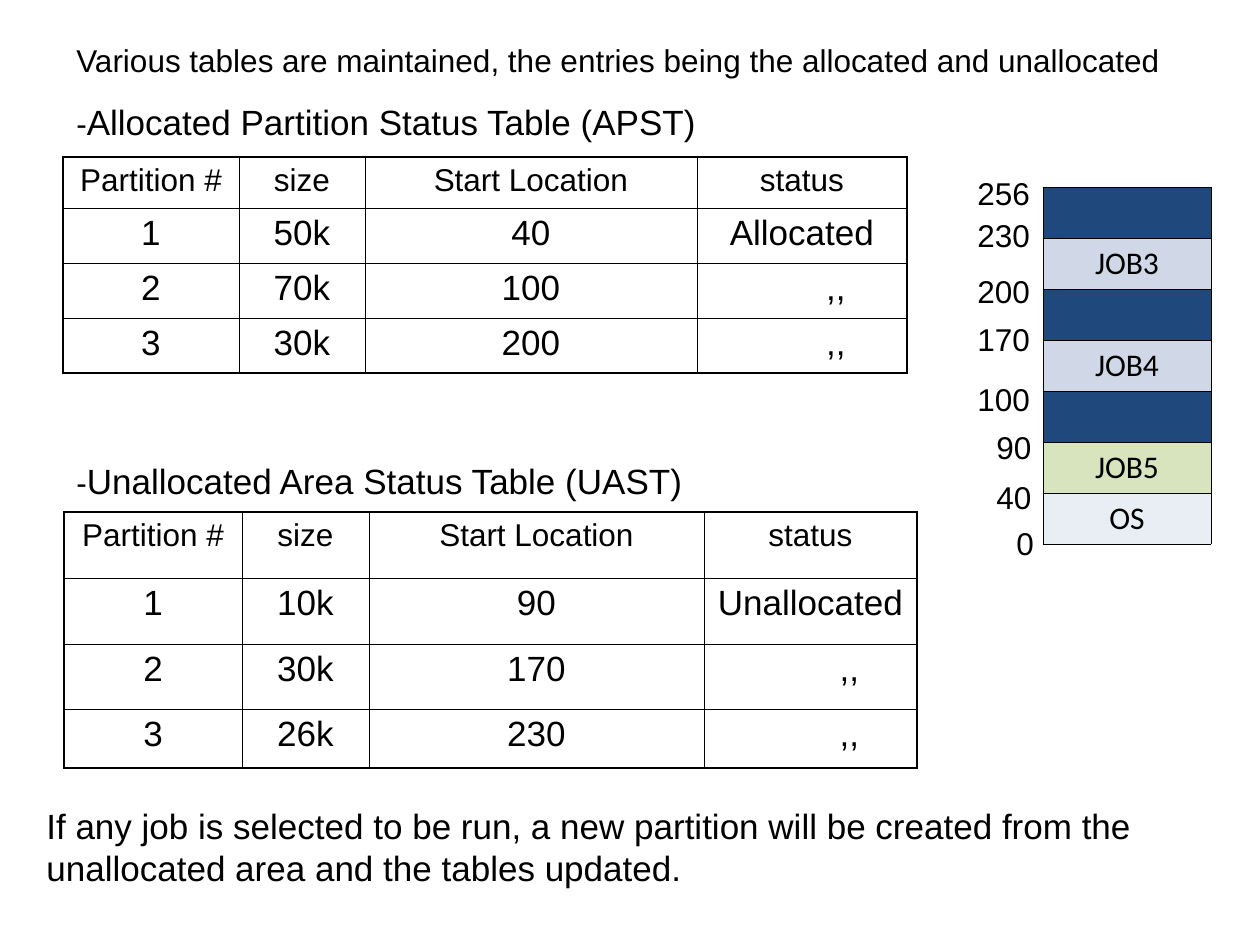
from lxml.etree import SubElement
from pptx import Presentation
from pptx.dml.color import RGBColor
from pptx.enum.text import PP_ALIGN
from pptx.oxml.ns import qn
from pptx.util import Emu, Pt

EMU_PER_PX = 914400 / 126
COLORS = {
    "ink": "000000",
    "free": "1F497D",
    "job": "D0D8E8",
    "new_job": "D7E4BD",
    "system": "E9EDF4",
}
THIN, THICK = 0.45, 1.08
HEADER = ["Partition #", "size", "Start Location", "status"]
DITTO = ",,"
ALLOCATED = [
    HEADER,
    ["1", "50k", "40", "Allocated"],
    ["2", "70k", "100", DITTO],
    ["3", "30k", "200", DITTO],
]
UNALLOCATED = [
    HEADER,
    ["1", "10k", "90", "Unallocated"],
    ["2", "30k", "170", DITTO],
    ["3", "26k", "230", DITTO],
]
MEMORY = [
    ("", "free"),
    ("JOB3", "job"),
    ("", "free"),
    ("JOB4", "job"),
    ("", "free"),
    ("JOB5", "new_job"),
    ("OS", "system"),
]
ADDRESSES = [
    ("256", 965, 168, 88),
    ("230", 965, 210, 88),
    ("200", 965, 266, 79),
    ("170", 965, 314, 79),
    ("100", 965, 374, 79),
    ("90", 984, 422, 69),
    ("40", 984, 472, 69),
    ("0", 1004, 518, 49),
]


def px(length):
    return Emu(round(length * EMU_PER_PX))


def color(name):
    return RGBColor.from_string(COLORS[name])


def write(paragraph, text, size=18, font="Arial", align=PP_ALIGN.LEFT, before=0, indent=0):
    paragraph.alignment = align
    if before:
        paragraph.space_before = Pt(before)
    if indent:
        paragraph._p.get_or_add_pPr().set("marL", str(px(indent)))
    run = paragraph.add_run()
    run.text = text
    run.font.size = Pt(size)
    run.font.name = font
    run.font.color.rgb = color("ink")


def add_text_box(slide, left, top, width, height):
    frame = slide.shapes.add_textbox(px(left), px(top), px(width), px(height)).text_frame
    frame.word_wrap = True
    return frame


def set_borders(cell, **widths):
    properties = cell._tc.get_or_add_tcPr()
    for index, side in enumerate("LRTB"):
        line = properties.makeelement(qn(f"a:ln{side}"), w=str(Pt(widths.get(side, THIN))))
        fill = SubElement(line, qn("a:solidFill"))
        SubElement(fill, qn("a:srgbClr"), val=COLORS["ink"])
        properties.insert(index, line)


def add_plain_table(slide, left, top, columns, rows):
    table = slide.shapes.add_table(
        len(rows), len(columns), px(left), px(top), px(sum(columns)), px(sum(rows))
    ).table
    table.first_row = table.horz_banding = False
    for column, width in zip(table.columns, columns):
        column.width = px(width)
    for row, height in zip(table.rows, rows):
        row.height = px(height)
    return table


def add_status_table(slide, left, top, columns, rows, values, ditto_indent):
    table = add_plain_table(slide, left, top, columns, rows)
    last_row, last_column = len(rows) - 1, len(columns) - 1
    for r, row in enumerate(values):
        for c, value in enumerate(row):
            cell = table.cell(r, c)
            cell.fill.background()
            write(
                cell.text_frame.paragraphs[0],
                value,
                size=20 if r else 18,
                align=PP_ALIGN.CENTER,
                indent=ditto_indent if value == DITTO else 0,
            )
            set_borders(
                cell,
                L=THIN if c else THICK,
                R=THICK if c == last_column else THIN,
                T=THIN if r else THICK,
                B=THICK if r == last_row else THIN,
            )


def add_memory_map(slide):
    table = add_plain_table(slide, 1043, 187, [168], [51] * len(MEMORY))
    for r, (label, shade) in enumerate(MEMORY):
        cell = table.cell(r, 0)
        cell.fill.solid()
        cell.fill.fore_color.rgb = color(shade)
        if label:
            write(cell.text_frame.paragraphs[0], label, font="Calibri", align=PP_ALIGN.CENTER)
        set_borders(cell)
    for address, left, top, width in ADDRESSES:
        write(add_text_box(slide, left, top, width, 50).paragraphs[0], address)


def add_headings(slide):
    frame = add_text_box(slide, 64, 35, 1121, 593)
    write(
        frame.paragraphs[0],
        "Various tables are maintained, the entries being the allocated and unallocated",
    )
    for title, before in [
        ("Allocated Partition Status Table (APST)", 12.5),
        ("Unallocated Area Status Table (UAST)", 181),
    ]:
        paragraph = frame.add_paragraph()
        write(paragraph, "-", before=before)
        write(paragraph, title, size=20)


def main():
    presentation = Presentation()
    presentation.slide_width, presentation.slide_height = px(1260), px(945)
    slide = presentation.slides.add_slide(presentation.slide_layouts[6])
    add_headings(slide)
    add_status_table(
        slide, 63, 157, [176, 126, 332, 210], [51, 55, 55, 55], ALLOCATED, ditto_indent=68
    )
    add_status_table(
        slide, 64, 512, [178, 127, 335, 213], [66, 66, 65, 59], UNALLOCATED, ditto_indent=78
    )
    write(
        add_text_box(slide, 34, 798, 1152, 97).paragraphs[0],
        "If any job is selected to be run, a new partition will be created from the "
        "unallocated area and the tables updated.",
        size=20,
    )
    add_memory_map(slide)
    presentation.save("out.pptx")


if __name__ == "__main__":
    main()
